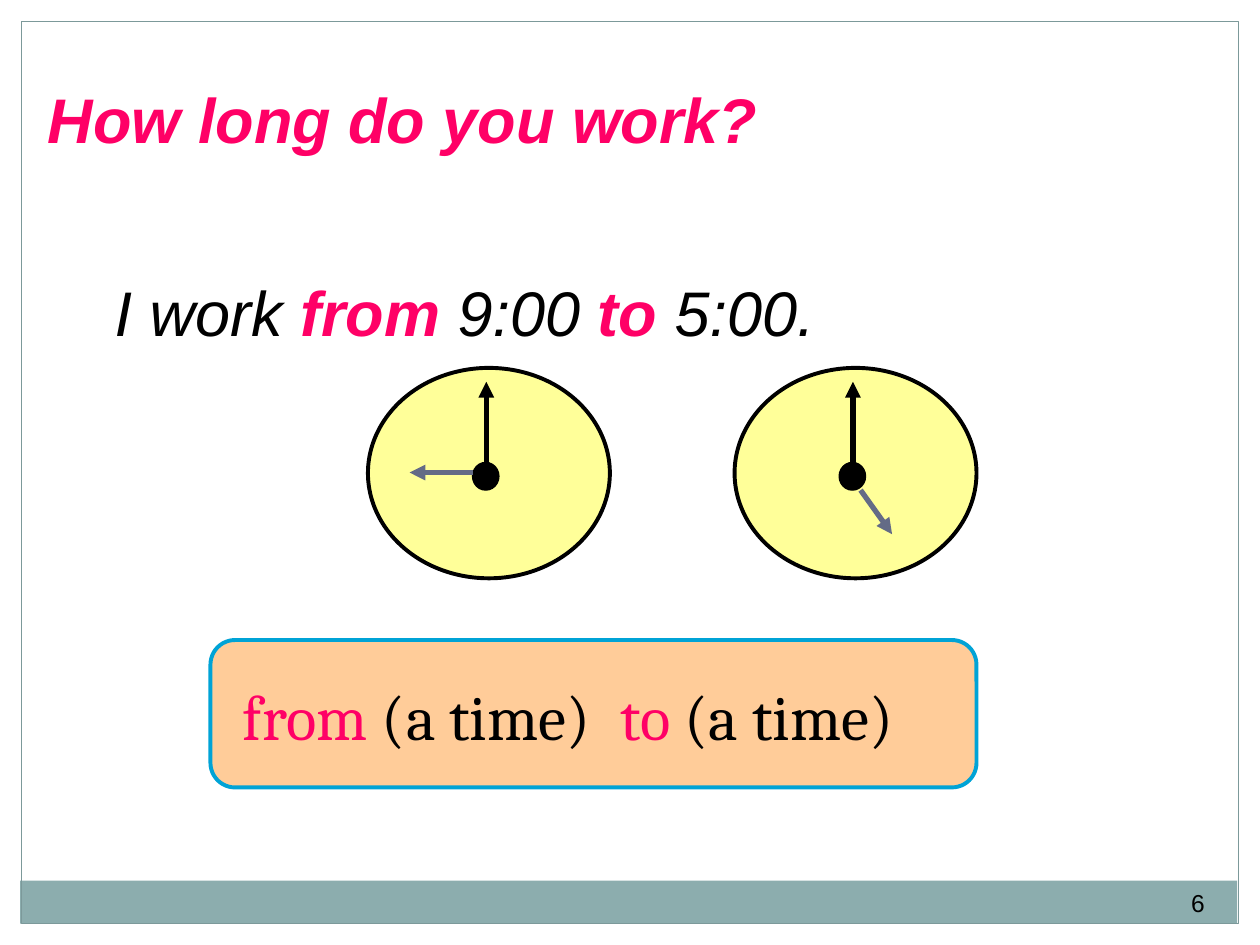
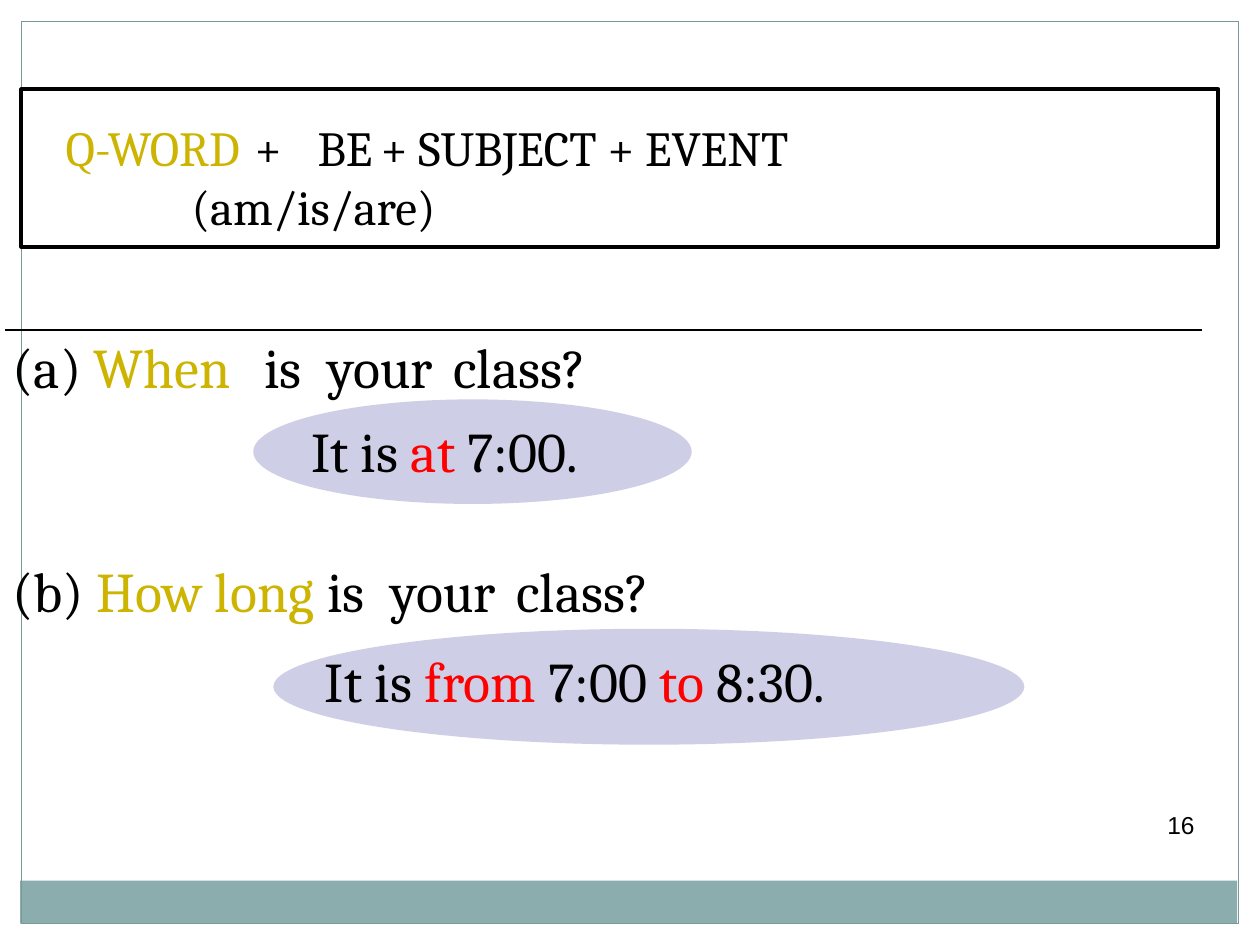
import pptx
import pptx.util
import pptx.dml.color
import pptx.enum.shapes
import pptx.enum.text
import pptx.oxml
import pptx.oxml.ns
from dataclasses import dataclass

Inches = pptx.util.Inches
Pt = pptx.util.Pt
Shape = pptx.enum.shapes.MSO_SHAPE
Align = pptx.enum.text.PP_ALIGN


@dataclass(frozen=True)
class Theme:
    """Colours, fonts and type sizes of the deck."""
    ink: str = "000000"
    pink: str = "FF0066"
    red: str = "FF0000"
    gold: str = "CCB400"
    band: str = "8CADAE"
    edge: str = "7C999A"
    peach: str = "FFCC99"
    blue: str = "00A3D6"
    face: str = "FFFF99"
    slate: str = "646B86"
    violet: str = "333399"
    sans: str = "Arial"
    serif: str = "Cambria"
    large: int = 36
    medium: int = 32
    small: int = 28
    note: int = 14


THEME = Theme()


def color(code):
    """Turn a hex code into a colour."""
    return pptx.dml.color.RGBColor.from_string(code)


def node(parent, tag, **attrs):
    """Append a drawing element to a parent."""
    child = pptx.oxml.parse_xml(f"<a:{tag} {pptx.oxml.ns.nsdecls('a')}/>")
    for key, value in attrs.items():
        child.set(key, str(value))
    parent.append(child)
    return child


def place(shape, box):
    """Move a shape to a box given in inches."""
    shape.left, shape.top, shape.width, shape.height = map(Inches, box)


def draw(slide, kind, box, fill=None, line=None, width=0.75, alpha=None):
    """Draw a preset shape with plain fill and line."""
    shape = slide.shapes.add_shape(kind, *map(Inches, box))
    shape.shadow.inherit = False
    if fill:
        shape.fill.solid()
        shape.fill.fore_color.rgb = color(fill)
        if alpha:
            tint = shape.fill._xPr.find(".//" + pptx.oxml.ns.qn("a:srgbClr"))
            node(tint, "alpha", val=alpha * 1000)
    else:
        shape.fill.background()
    if line:
        shape.line.color.rgb = color(line)
        shape.line.width = Pt(width)
    else:
        shape.line.fill.background()
    return shape


def rule(slide, start, end, ink, width, arrow=False):
    """Draw a straight line, with an arrowhead if asked."""
    line = slide.shapes.add_connector(
        pptx.enum.shapes.MSO_CONNECTOR.STRAIGHT, *map(Inches, start + end))
    line.line.color.rgb = color(ink)
    line.line.width = Pt(width)
    if arrow:
        node(line.line._get_or_add_ln(), "tailEnd", type="triangle")
    node(line._element.spPr, "effectLst")


def write(shape, rows, size, font, tabs=(), bold=False, italic=False,
          align=Align.LEFT, wrap=True):
    """Fill a shape with rows of (text, colour, bold) runs."""
    frame = shape.text_frame
    frame.word_wrap = wrap
    frame.auto_size = pptx.enum.text.MSO_AUTO_SIZE.NONE
    frame.vertical_anchor = pptx.enum.text.MSO_ANCHOR.TOP
    frame.text = "\n".join("" for _ in rows)
    for para, row in zip(frame.paragraphs, rows):
        props = para._p.get_or_add_pPr()
        props.set("marL", "0")
        props.set("indent", "0")
        node(props, "buNone")
        if tabs:
            stops = node(props, "tabLst")
            for stop in tabs:
                node(stops, "tab", pos=Inches(stop), algn="l")
        para.alignment = align
        para.space_before = Pt(0)
        for text, ink, *strong in row:
            run = para.add_run()
            run.text = text
            run.font.name = font
            run.font.size = Pt(size)
            run.font.bold = bold or bool(strong)
            run.font.italic = italic
            run.font.color.rgb = color(ink)


def label(slide, box, row, size, font=THEME.serif, **style):
    """Add a text box holding one row of runs."""
    shape = slide.shapes.add_textbox(*map(Inches, box))
    write(shape, [row], size, font, **style)


def number(slide, box, text):
    """Add the page number."""
    label(slide, box, [(text, THEME.ink)], THEME.note, THEME.sans,
          align=Align.RIGHT)


def frame(deck, slide):
    """Draw the page border and bottom band and move them to the master."""
    parts = [
        draw(slide, Shape.RECTANGLE, (0.16, 6.99, 9.66, 0.34), THEME.band),
        draw(slide, Shape.RECTANGLE, (0.17, 0.17, 9.66, 7.16),
             line=THEME.edge)]
    tree = deck.slide_master.shapes._spTree
    for index, part in enumerate(parts):
        part._element.nvSpPr.cNvPr.set("id", str(100 + index))
        tree.insert(2 + index, part._element)


def clock(slide, left, top, start, tip):
    """Draw a clock at twelve minutes' top with the given hour hand."""
    def at(point):
        return left + point[0], top + point[1]

    draw(slide, Shape.OVAL, (left, top, 1.92, 1.67), THEME.face,
         THEME.ink, 2.25)
    draw(slide, Shape.OVAL, (*at((0.83, 0.75)), 0.21, 0.22), THEME.ink,
         THEME.ink)
    rule(slide, at((0.94, 0.76)), at((0.94, 0.11)), THEME.ink, 3, True)
    rule(slide, at(start), at(tip), THEME.slate, 3, True)


def panel(slide, left, top):
    """Draw the rounded box with the time pattern."""
    shape = draw(slide, Shape.ROUNDED_RECTANGLE, (left, top, 6.08, 1.17),
                 THEME.peach, THEME.blue, 2.25)
    shape.adjustments[0] = 0.167
    row = [("from ", THEME.pink), ("(a time)\t", THEME.ink),
           ("to ", THEME.pink), ("(a time)", THEME.ink)]
    label(slide, (left + 0.16, top + 0.25, 6.17, 0.7), row, THEME.large,
          tabs=[2.97])


def hours(deck):
    """Build the slide on working hours."""
    slide = deck.slides.add_slide(deck.slide_layouts[1])
    frame(deck, slide)
    title, body = slide.placeholders
    place(title, (0.28, 0.59, 7.97, 0.71))
    write(title, [[("How long do you work?", THEME.pink)]], THEME.large,
          THEME.sans, bold=True, italic=True)
    place(body, (0.81, 2.12, 7.19, 0.7))
    row = [("I work ", THEME.ink), ("from", THEME.pink, True),
           (" 9:00 ", THEME.ink), ("to", THEME.pink, True),
           (" 5:00.", THEME.ink)]
    write(body, [row], THEME.large, THEME.sans, italic=True)
    clock(slide, 2.92, 2.92, (0.83, 0.83), (0.33, 0.83))
    clock(slide, 5.83, 2.92, (1.0, 0.97), (1.25, 1.32))
    panel(slide, 1.67, 5.08)
    number(slide, (6.33, 7, 3.33, 0.4), "6")


def ask(slide, top, mark, word, tabs):
    """Write a question set out in columns."""
    row = [(mark + " ", THEME.ink), (word + "\t", THEME.gold),
           ("is\tyour\tclass?", THEME.ink)]
    label(slide, (0, top, 8, 0.64), row, THEME.medium, tabs=tabs, wrap=False)


def reply(slide, box, inset, row):
    """Write an answer over a pale oval."""
    left, top, width, height = box
    draw(slide, Shape.OVAL, box, THEME.violet, alpha=24)
    label(slide, (left + inset, top + 0.09, width, 0.64), row, THEME.medium)


def order(deck):
    """Build the slide on question word order."""
    slide = deck.slides.add_slide(deck.slide_layouts[5])
    title = slide.shapes.title
    place(title, (0.42, 0.88, 9, 1.04))
    rows = [[("Q-WORD", THEME.gold),
             ("\t+\tBE\t+ SUBJECT + EVENT", THEME.ink)],
            [("\t\t(am/is/are)", THEME.ink)]]
    write(title, rows, THEME.small, THEME.serif, tabs=[1.55, 2.0, 2.71])
    draw(slide, Shape.RECTANGLE, (0.17, 0.71, 9.5, 1.25), line=THEME.ink,
         width=2.25)
    rule(slide, (0.04, 2.62), (9.54, 2.62), THEME.ink, 1)
    reply(slide, (2.01, 3.17, 3.48, 0.83), 0.36,
          [("It is ", THEME.ink), ("at ", THEME.red), ("7:00.", THEME.ink)])
    reply(slide, (2.17, 4.99, 5.96, 0.92), 0.31,
          [("It is ", THEME.ink), ("from ", THEME.red), ("7:00 ", THEME.ink),
           ("to ", THEME.red), ("8:30.", THEME.ink)])
    ask(slide, 2.59, "(a)", "When", [2.6, 3.69, 5.48])
    ask(slide, 4.37, "(b)", "How long", [2.68, 3.67, 5.56])
    number(slide, (6.25, 6.38, 3.33, 0.4), "16")


def main():
    """Build and save the deck."""
    deck = pptx.Presentation()
    deck.slide_width, deck.slide_height = Inches(10), Inches(7.5)
    hours(deck)
    order(deck)
    deck.save("out.pptx")


if __name__ == "__main__":
    main()
